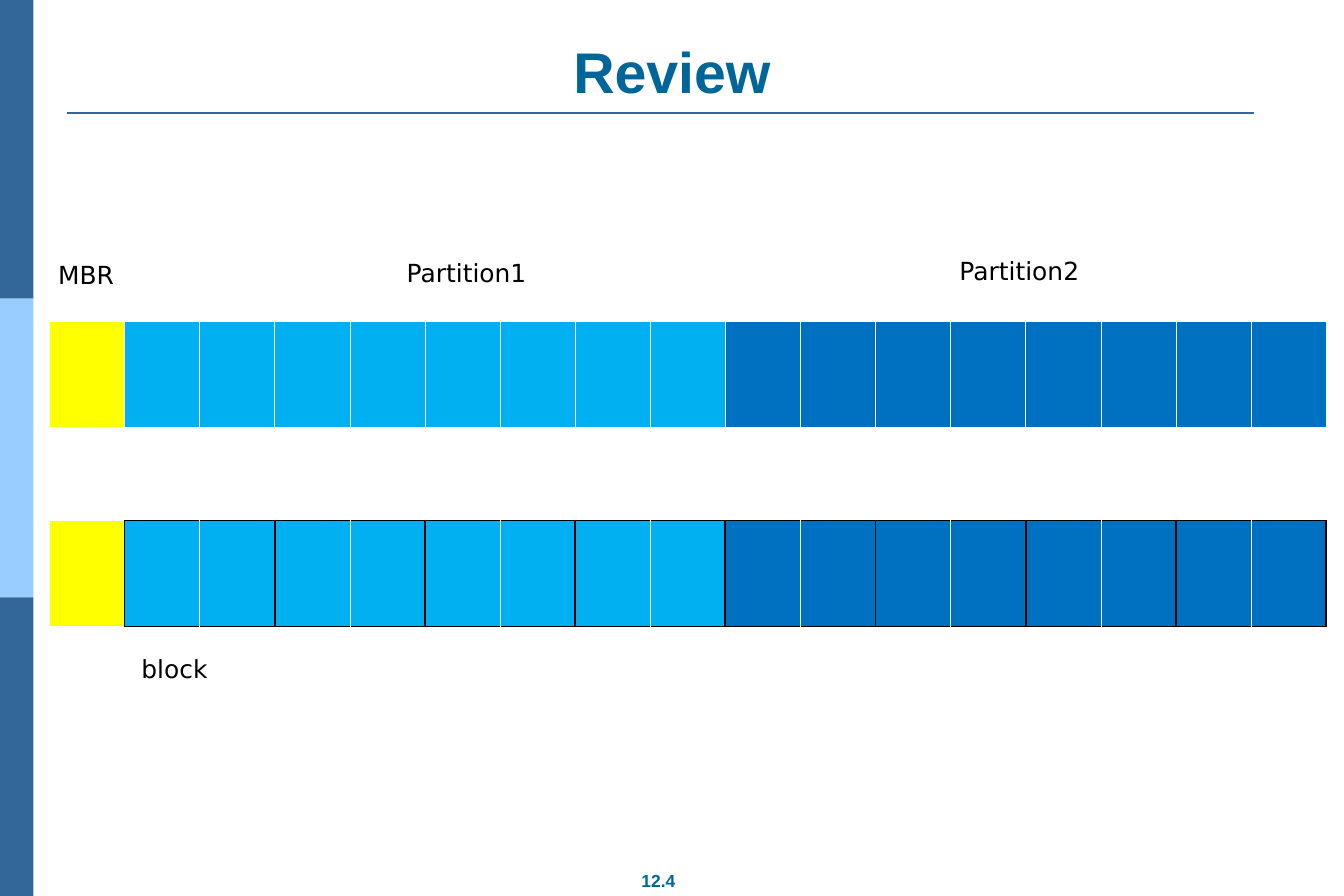
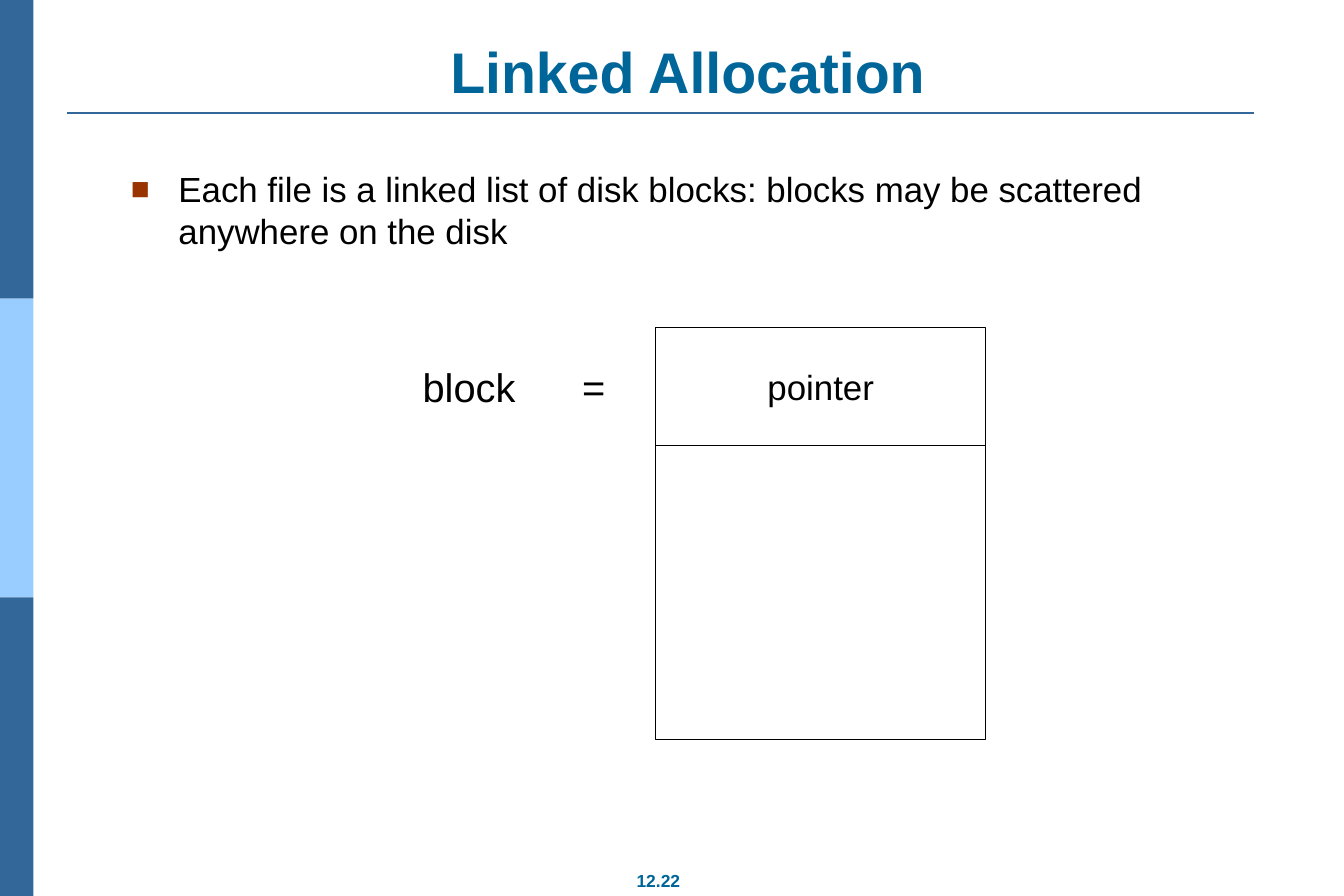
from dataclasses import dataclass

from lxml.etree import SubElement
from pptx import Presentation
from pptx.dml.color import RGBColor
from pptx.enum.shapes import MSO_CONNECTOR, MSO_SHAPE
from pptx.enum.text import MSO_ANCHOR, MSO_AUTO_SIZE, PP_ALIGN
from pptx.oxml.ns import qn
from pptx.util import Cm, Pt


@dataclass(frozen=True)
class Theme:
    heading: str = "006699"
    band_dark: str = "336699"
    band_light: str = "99CCFF"
    bullet: str = "993300"
    text: str = "000000"
    paper: str = "FFFFFF"
    boot: str = "FFFF00"
    partition_1: str = "00B0F0"
    partition_2: str = "0070C0"
    font: str = "Arial"
    label_font: str = "DejaVu Sans"
    title_size: float = 46
    equation_size: float = 32
    body_size: float = 28
    label_size: float = 20
    footer_size: float = 14
    thin: float = 0.45
    thick: float = 1.47
    outline: float = 0.75


THEME = Theme()
WIDTH, HEIGHT = 38.1, 25.4
WIDE_INSETS, NARROW_INSETS = (0.36, 0.18), (0.25, 0.13)

# Content; all boxes are left, top, width, height in cm
REVIEW = {
    "title": "Review",
    "title_box": (1.9, 1.02, 34.29, 2.13),
    "number": "12.4",
    "cells": [THEME.boot] + [THEME.partition_1] * 8 + [THEME.partition_2] * 8,
    "disks": [  # top, whether pairs of cells are outlined as blocks
        (9.12, False),
        (14.76, True),
    ],
    "labels": [
        ("MBR", (1.4, 7.24, 3.28, 1.12)),
        ("Partition1", (11.28, 7.16, 4.47, 1.12)),
        ("Partition2", (26.95, 7.11, 4.47, 1.12)),
        ("block", (3.76, 18.39, 4.47, 1.12)),
    ],
}
LINKED = {
    "title": "Linked Allocation",
    "title_box": (2.79, 1.02, 33.4, 2.13),
    "number": "12.22",
    "bullet": "Each file is a linked list of disk blocks: blocks may be "
              "scattered anywhere on the disk",
    "bullet_box": (3.35, 4.57, 31.57, 2.77),
    "equation": "block\t=",
    "equation_box": (11.73, 10.13, 5.69, 1.63),
    "block_parts": [("pointer", 3.37), ("", 8.33)],  # text, height
    "block_corner": (18.59, 9.27),
    "block_width": 9.35,
}


def color(value):
    return RGBColor.from_string(value)


def place(shape, box):
    shape.left, shape.top, shape.width, shape.height = map(Cm, box)


def write(shape, text, *, size, font=THEME.font, ink=THEME.text, bold=False,
          align=PP_ALIGN.LEFT, anchor=MSO_ANCHOR.TOP, insets=NARROW_INSETS,
          bullet=None, indent=0, tab=None):
    """Fill a shape with one formatted paragraph."""
    frame = shape.text_frame
    frame.word_wrap = True
    frame.auto_size = MSO_AUTO_SIZE.NONE
    frame.vertical_anchor = anchor
    frame.margin_left = frame.margin_right = Cm(insets[0])
    frame.margin_top = frame.margin_bottom = Cm(insets[1])
    paragraph = frame.paragraphs[0]
    paragraph.text = text
    paragraph.alignment = align
    properties = paragraph._p.get_or_add_pPr()
    if bullet:
        properties.set("marL", str(Cm(indent)))
        properties.set("indent", str(-Cm(indent)))
        tint = SubElement(properties, qn("a:buClr"))
        SubElement(tint, qn("a:srgbClr"), val=THEME.bullet)
        SubElement(properties, qn("a:buSzPct"), val="90000")
        SubElement(properties, qn("a:buFont"), typeface=font)
        SubElement(properties, qn("a:buChar"), char=bullet)
    if tab:
        stops = SubElement(properties, qn("a:tabLst"))
        SubElement(stops, qn("a:tab"), pos=str(Cm(tab)), algn="l")
    paragraph.space_before = Pt(0)
    paragraph.font.size = Pt(size)
    paragraph.font.bold = bold
    paragraph.font.name = font
    paragraph.font.color.rgb = color(ink)


def add_text(slide, text, box, **style):
    write(slide.shapes.add_textbox(*map(Cm, box)), text, **style)


def add_rectangle(slide, box, fill, outline=None):
    shape = slide.shapes.add_shape(MSO_SHAPE.RECTANGLE, *map(Cm, box))
    shape.shadow.inherit = False
    shape.fill.solid()
    shape.fill.fore_color.rgb = color(fill)
    if outline:
        shape.line.color.rgb = color(outline)
        shape.line.width = Pt(THEME.outline)
    else:
        shape.line.fill.background()
    return shape


def start_slide(presentation, layout, content):
    """Add a slide with side bands, rule, title and page number."""
    slide = presentation.slides.add_slide(presentation.slide_layouts[layout])
    third = HEIGHT / 3
    for row, fill in enumerate((THEME.band_dark, THEME.band_light, THEME.band_dark)):
        add_rectangle(slide, (0, row * third, 0.95, third), fill)
    rule = slide.shapes.add_connector(
        MSO_CONNECTOR.STRAIGHT, Cm(1.9), Cm(3.2), Cm(35.56), Cm(3.2))
    rule.line.color.rgb = color(THEME.band_dark)
    rule.line.width = Pt(1.5)
    SubElement(rule._element.spPr, qn("a:effectLst"))
    heading = dict(ink=THEME.heading, bold=True, align=PP_ALIGN.CENTER,
                   insets=WIDE_INSETS)
    place(slide.shapes.title, content["title_box"])
    write(slide.shapes.title, content["title"], size=THEME.title_size,
          anchor=MSO_ANCHOR.BOTTOM, **heading)
    add_text(slide, content["number"], (16.76, 24.49, 3.81, 0.97),
             size=THEME.footer_size, **heading)
    return slide


def set_borders(cell, **edges):
    """Set cell edges L, R, T, B, each a (colour, width) pair."""
    properties = cell._tc.get_or_add_tcPr()
    for side, (ink, width) in edges.items():
        line = SubElement(properties, qn(f"a:ln{side}"), w=str(Pt(width)))
        fill = SubElement(line, qn("a:solidFill"))
        SubElement(fill, qn("a:srgbClr"), val=ink)


def add_disk(slide, top, cells, blocks):
    """Draw a disk as a one-row table; a block spans two cells."""
    count = len(cells)
    table = slide.shapes.add_table(
        1, count, Cm(1.4), Cm(top), Cm(36.2), Cm(3)).table
    table.first_row = table.horz_banding = False
    white_thin = (THEME.paper, THEME.thin)
    white_thick = (THEME.paper, THEME.thick)
    black = (THEME.text, THEME.thick)
    for index, fill in enumerate(cells):
        table.columns[index].width = Cm(36.2 / count)
        cell = table.cell(0, index)
        in_block = blocks and index > 0
        set_borders(
            cell,
            L=black if blocks and index % 2 else white_thin,
            R=black if blocks and index % 2 == 0 else white_thin,
            T=black if in_block else white_thick if blocks else white_thin,
            B=black if in_block else white_thick)
        cell.fill.solid()
        cell.fill.fore_color.rgb = color(fill)


def build_review(presentation):
    slide = start_slide(presentation, 5, REVIEW)
    for top, blocks in REVIEW["disks"]:
        add_disk(slide, top, REVIEW["cells"], blocks)
    for text, box in REVIEW["labels"]:
        add_text(slide, text, box, size=THEME.label_size, font=THEME.label_font)


def build_linked(presentation):
    slide = start_slide(presentation, 1, LINKED)
    body = slide.placeholders[1]
    place(body, LINKED["bullet_box"])
    write(body, LINKED["bullet"], size=THEME.body_size, insets=WIDE_INSETS,
          bullet="■", indent=1.35)
    # Block diagram, stacked downwards
    left, top = LINKED["block_corner"]
    for text, height in LINKED["block_parts"]:
        part = add_rectangle(slide, (left, top, LINKED["block_width"], height),
                             THEME.paper, THEME.text)
        if text:
            write(part, text, size=THEME.body_size, align=PP_ALIGN.CENTER,
                  anchor=MSO_ANCHOR.MIDDLE)
        top += height
    add_text(slide, LINKED["equation"], LINKED["equation_box"],
             size=THEME.equation_size, anchor=MSO_ANCHOR.MIDDLE, tab=4.52)


def main():
    presentation = Presentation()
    presentation.slide_width, presentation.slide_height = Cm(WIDTH), Cm(HEIGHT)
    build_review(presentation)
    build_linked(presentation)
    presentation.save("out.pptx")


if __name__ == "__main__":
    main()
